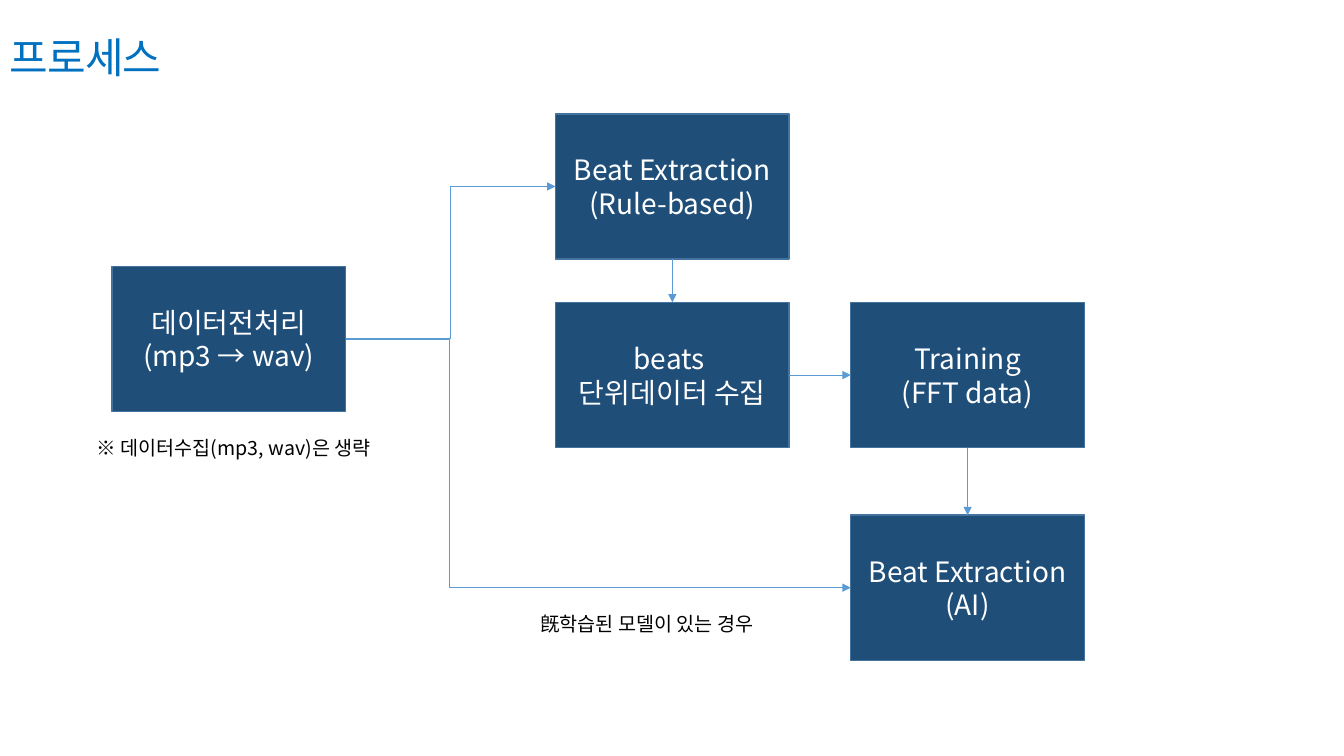
from pptx import Presentation, util as u
from pptx.dml.color import RGBColor
from pptx.enum import shapes, text
from pptx.oxml import ns, xmlchemy

Cm, Pt = u.Cm, u.Pt
COLORS = {"title": "0070C0", "box": "1F4E79", "edge": "43739E",
          "arrow": "5B9BD5", "light": "FFFFFF", "dark": "000000"}
KOREAN = "Noto Sans CJK KR"


def write(sp, words, size=14, color="dark", font=KOREAN, align=None,
          anchor=text.MSO_ANCHOR.TOP, wrap=True, spacing=None):
    tf = sp.text_frame
    tf.word_wrap = wrap
    tf.vertical_anchor = anchor
    p = tf.paragraphs[0]
    p.text = words
    p.alignment = align
    for r in p.runs:
        r.font.size = Pt(size)
        r.font.name = font
        r.font.color.rgb = RGBColor.from_string(COLORS[color])
        rPr = r.font._element
        ea = xmlchemy.OxmlElement("a:ea")
        ea.set("typeface", KOREAN)
        rPr.append(ea)
        if spacing is not None:
            rPr.set("spc", str(round(spacing * 100)))


def connect(start, start_site, end, end_site, bend=None):
    kind = shapes.MSO_CONNECTOR.STRAIGHT if bend is None else shapes.MSO_CONNECTOR.ELBOW
    c = s.shapes.add_connector(kind, 0, 0, 0, 0)
    c.begin_connect(start, start_site)
    c.end_connect(end, end_site)
    c.line.width = Pt(0.5)
    c.line.color.rgb = RGBColor.from_string(COLORS["arrow"])
    spPr = c._element.spPr
    tail = xmlchemy.OxmlElement("a:tailEnd")
    tail.set("type", "triangle")
    spPr.find(ns.qn("a:ln")).append(tail)
    spPr.append(xmlchemy.OxmlElement("a:effectLst"))
    if bend is not None:
        gd = xmlchemy.OxmlElement("a:gd")
        gd.set("name", "adj1")
        gd.set("fmla", f"val {round(bend * 100000)}")
        spPr.find(ns.qn("a:prstGeom")).find(ns.qn("a:avLst")).append(gd)


prs = Presentation()
prs.slide_width, prs.slide_height = Cm(33.87), Cm(19.05)
s = prs.slides.add_slide(prs.slide_layouts[6])

# Title
sp = s.shapes.add_textbox(0, Cm(0.66), prs.slide_width, Cm(1.55))
write(sp, "프로세스", size=30, color="title", font="Arial", spacing=-0.7)

# Process steps
BOX_W, BOX_H = Cm(5.89), Cm(3.66)
MIDDLE_X, RIGHT_X, MIDDLE_Y = 14, 21.44, 7.62
steps = {}
for name, x, y, words in [
    ("prepare", 2.82, 6.71, "데이터전처리\n(mp3 → wav)"),
    ("rules", MIDDLE_X, 2.87, "Beat Extraction\n(Rule-based)"),
    ("ai", RIGHT_X, 12.98, "Beat Extraction\n(AI)"),
    ("training", RIGHT_X, MIDDLE_Y, "Training\n(FFT data)"),
    ("beats", MIDDLE_X, MIDDLE_Y, "beats \n단위데이터 수집"),
]:
    sp = s.shapes.add_shape(shapes.MSO_SHAPE.RECTANGLE, Cm(x), Cm(y), BOX_W, BOX_H)
    sp.shadow.inherit = False
    sp.fill.solid()
    sp.fill.fore_color.rgb = RGBColor.from_string(COLORS["box"])
    sp.line.color.rgb = RGBColor.from_string(COLORS["edge"])
    sp.line.width = Pt(1)
    write(sp, words, size=20, color="light", align=text.PP_ALIGN.CENTER,
          anchor=text.MSO_ANCHOR.MIDDLE)
    steps[name] = sp

# Flow arrows: sites are 0 top, 1 left, 2 bottom, 3 right
for start, start_site, end, end_site, bend in [
    ("prepare", 3, "rules", 1, 0.5),
    ("prepare", 3, "ai", 1, 0.206),
    ("rules", 2, "beats", 0, None),
    ("training", 2, "ai", 0, None),
    ("beats", 3, "training", 1, None),
]:
    connect(steps[start], start_site, steps[end], end_site, bend)

# Notes
for x, y, w, words in [
    (2.18, 10.85, 7.72, "※ 데이터수집(mp3, wav)은 생략"),
    (13.36, 15.29, 6.53, "旣학습된 모델이 있는 경우"),
]:
    sp = s.shapes.add_textbox(Cm(x), Cm(y), Cm(w), Cm(0.86))
    write(sp, words, wrap=False)

prs.save("out.pptx")
